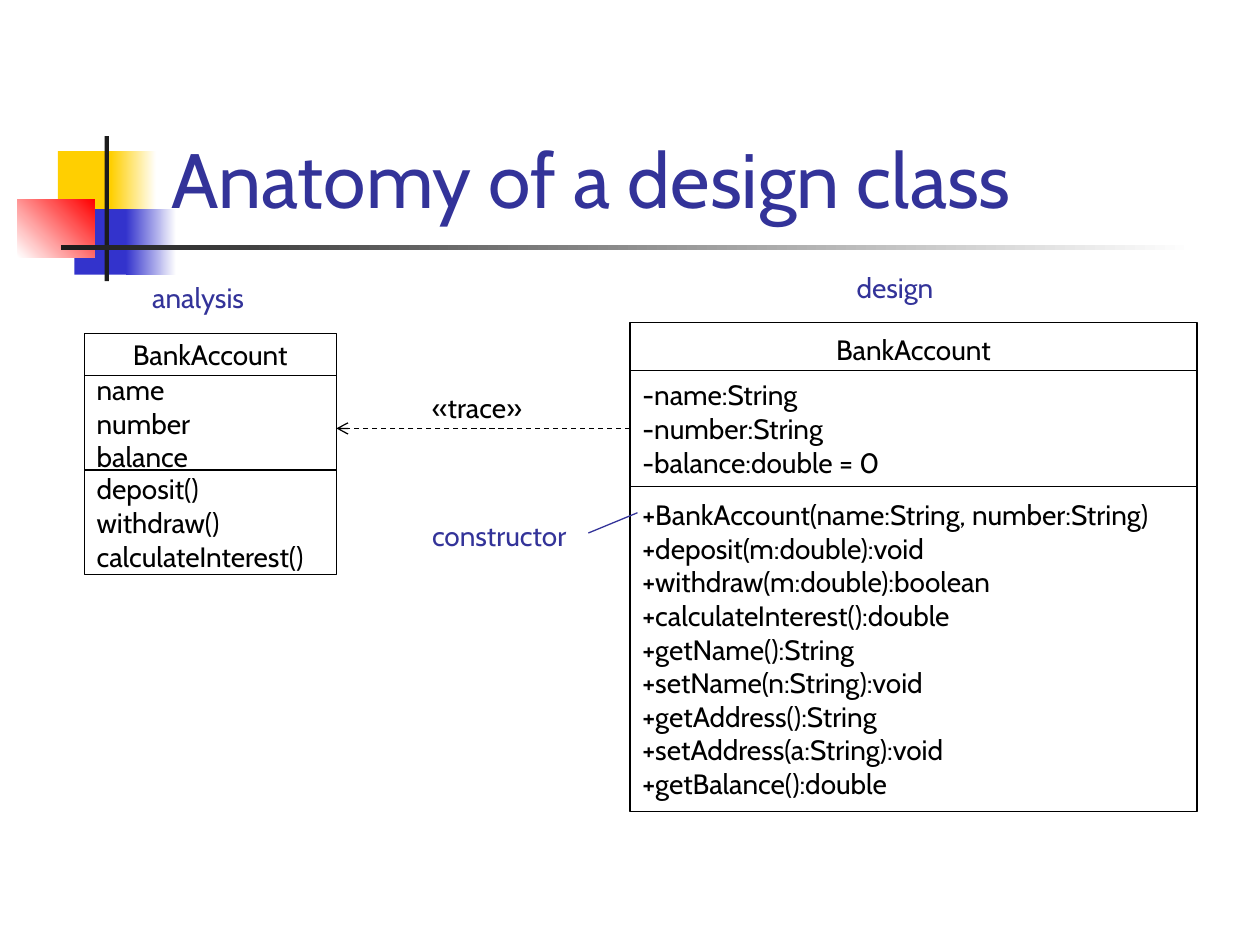
from lxml import etree
from pptx import Presentation
from pptx.dml.color import RGBColor
from pptx.enum.dml import MSO_LINE
from pptx.enum.shapes import MSO_CONNECTOR, MSO_SHAPE
from pptx.enum.text import MSO_ANCHOR, MSO_AUTO_SIZE, PP_ALIGN
from pptx.oxml.ns import qn
from pptx.util import Pt

RECT = MSO_SHAPE.RECTANGLE
LINE = MSO_CONNECTOR.STRAIGHT
DASH = MSO_LINE.DASH
MIDDLE, BOTTOM = MSO_ANCHOR.MIDDLE, MSO_ANCHOR.BOTTOM
LEFT, CENTER = PP_ALIGN.LEFT, PP_ALIGN.CENTER
GROW = MSO_AUTO_SIZE.SHAPE_TO_FIT_TEXT
RGB = RGBColor.from_string
HUES = {"gold": "FFCF01", "blue": "3333CC", "red": "FF0000", "dark": "1C1C1C",
        "white": "FFFFFF", "black": "000000", "navy": "333399"}

deck = Presentation()
deck.slide_width, deck.slide_height = Pt(720), Pt(540)
slide = deck.slides.add_slide(deck.slide_layouts[5])
shapes = slide.shapes


def write(shape, lines, size, hue, align=LEFT):
    """Put lines of text into a shape, one paragraph each."""
    frame = shape.text_frame
    frame.text = "\n".join(lines)
    for para in frame.paragraphs:
        para.alignment = align
        para.font.name = "Cabin"
        para.font.size = Pt(size)
        para.font.color.rgb = RGB(HUES[hue])
    return frame


def link(x1, y1, x2, y2, hue):
    """Draw a thin straight line without a shadow."""
    line = shapes.add_connector(LINE, Pt(x1), Pt(y1), Pt(x2), Pt(y2))
    line.line.color.rgb = RGB(HUES[hue])
    line.line.width = Pt(0.75)
    etree.SubElement(line._element.spPr, qn("a:effectLst"))
    return line


# Ornament beside the title: one hue is solid, two hues are a gradient
ORNAMENT = [
    (33.1, 86.4, 34.6, 37.4, ["gold"], 0),
    (63.4, 86.4, 25.9, 37.4, ["gold", "white"], 0),
    (42.5, 119.5, 33.1, 37.4, ["blue"], 0),
    (72, 119.5, 28.8, 37.4, ["blue", "white"], 0),
    (10.1, 113.8, 43.9, 33.1, ["white", "red"], 45),
    (59.8, 77.8, 2.4, 82.8, ["dark"], 0),
    (34.6, 140.2, 648, 2.4, ["dark", "white"], 0),
]
for x, y, w, h, hues, angle in ORNAMENT:
    block = shapes.add_shape(RECT, Pt(x), Pt(y), Pt(w), Pt(h))
    block.shadow.inherit = False
    block.line.fill.background()
    if len(hues) == 1:
        block.fill.solid()
        block.fill.fore_color.rgb = RGB(HUES[hues[0]])
    else:
        block.fill.gradient()
        block.fill.gradient_angle = angle
        for stop, hue in zip(block.fill.gradient_stops, hues):
            stop.color.rgb = RGB(HUES[hue])

# Title, in front of the ornament
title = shapes.title
shapes._spTree.append(title._element)
title.left, title.top, title.width, title.height = Pt(90.7), Pt(16.6), Pt(613.4), Pt(115.2)
frame = write(title, ["Anatomy of a design class"], 44, "navy")
frame.vertical_anchor = BOTTOM

# Class boxes: left, width, then top, height and lines of each part
CLASSES = {
    "design": (360, 324, [
        (184.3, 30.2, ["BankAccount"]),
        (211.7, 66.2, ["-name:String", "-number:String", "-balance:double = 0"]),
        (277.9, 185.8, [
            "+BankAccount(name:String, number:String)",
            "+deposit(m:double):void",
            "+withdraw(m:double):boolean",
            "+calculateInterest():double",
            "+getName():String",
            "+setName(n:String):void",
            "+getAddress():String",
            "+setAddress(a:String):void",
            "+getBalance():double"])]),
    "analysis": (48.2, 144, [
        (190.8, 23.8, ["BankAccount"]),
        (214.6, 54, ["name", "number", "balance"]),
        (268.6, 59.8, ["deposit()", "withdraw()", "calculateInterest()"])]),
}
parts = {}
for name, (x, w, rows) in CLASSES.items():
    parts[name] = []
    for y, h, lines in rows:
        box = shapes.add_shape(RECT, Pt(x), Pt(y), Pt(w), Pt(h))
        box.shadow.inherit = False
        box.fill.solid()
        box.fill.fore_color.rgb = RGB(HUES["white"])
        box.line.color.rgb = RGB(HUES["black"])
        box.line.width = Pt(0.75)
        frame = write(box, lines, 16, "black", LEFT if parts[name] else CENTER)
        frame.vertical_anchor = MIDDLE
        parts[name].append(box)

# Trace arrow from the design class to the analysis class
trace = link(360, 244.8, 192.2, 244.8, "black")
trace.begin_connect(parts["design"][1], 1)
trace.line.dash_style = DASH
etree.SubElement(trace.line._get_or_add_ln(), qn("a:tailEnd"), type="arrow")

# Pointer from the label to the constructor
link(336.2, 304.6, 364.3, 293, "navy")

# Labels
LABELS = [
    ("analysis", 79.9, 157, 73.4, "navy"),
    ("design", 482.4, 151.2, 64.8, "navy"),
    ("«trace»", 239.8, 219.6, 68.4, "black"),
    ("constructor", 239.8, 293, 100.8, "navy"),
]
for text, x, y, w, hue in LABELS:
    label = shapes.add_textbox(Pt(x), Pt(y), Pt(w), Pt(26.6))
    frame = write(label, [text], 16, hue)
    frame.word_wrap = False
    frame.auto_size = GROW

deck.save("out.pptx")
